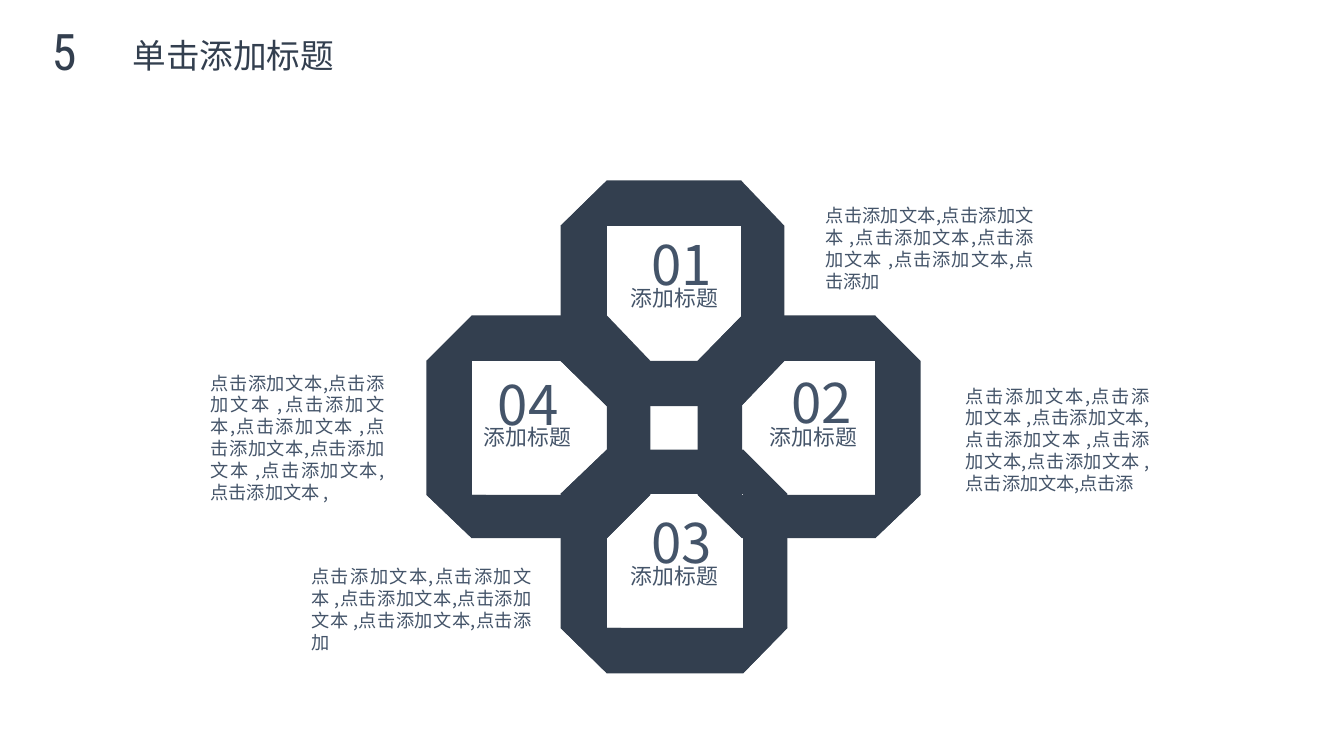
"""Build a slide with four interlocking octagonal rings and their captions."""
from lxml.etree import SubElement
from pptx import Presentation
from pptx.dml.color import RGBColor
from pptx.enum.text import MSO_ANCHOR as Anchor, MSO_AUTO_SIZE as AutoSize, PP_ALIGN as Align
from pptx.oxml.ns import qn
from pptx.util import Inches, Pt

HEADING = "单击添加标题"
SECTION = "5"
RING_LABEL = "添加标题"
PHRASE = "点击添加文本"
PAIR = f"{PHRASE},{PHRASE} ,"
DARK, SLATE, AMBER, MAROON = "333F4F", "445469", "BC6C2A", "8E2525"
CJK, CONDENSED = "Noto Sans CJK SC", "Roboto Condensed"
FOLD = 0.14

RINGS = [
    {"number": "01", "number_at": (6.36, 2.24), "label_at": (6.06, 2.77),
     "xs": (5.56, 6.02, 7.35, 7.78), "ys": (1.79, 2.24, 3.58, 4.03),
     "folds": {"top": DARK, "right": DARK, "bottom": MAROON, "left": DARK},
     "caption": PAIR * 2 + PHRASE + ",点击添加", "caption_box": (8.09, 1.98, 2.26, 0.97)},
    {"number": "02", "number_at": (7.75, 3.61), "label_at": (7.44, 4.15),
     "xs": (6.92, 7.36, 8.68, 9.13), "ys": (3.13, 3.58, 4.91, 5.34),
     "folds": {"top": DARK, "right": DARK, "left": DARK},
     "caption": PAIR * 3 + PHRASE + ",点击添", "caption_box": (9.48, 3.77, 2.02, 1.19)},
    {"number": "03", "number_at": (6.36, 4.99), "label_at": (6.06, 5.53),
     "xs": (5.56, 6.02, 7.37, 7.81), "ys": (4.46, 4.9, 6.23, 6.68),
     "folds": {"right": DARK, "bottom": DARK, "left": DARK},
     "caption": PAIR * 2 + PHRASE + ",点击添加", "caption_box": (2.99, 5.56, 2.38, 0.97)},
    {"number": "04", "number_at": (4.84, 3.62), "label_at": (4.6, 4.15),
     "xs": (4.23, 4.68, 6.02, 6.45), "ys": (3.13, 3.58, 4.91, 5.34),
     "folds": {"top": AMBER, "right": DARK, "bottom": DARK, "left": DARK},
     "caption": PAIR * 4, "caption_box": (1.99, 3.64, 1.92, 1.85)},
]

MIDDLE = {"word_wrap": True, "auto_size": AutoSize.NONE, "vertical_anchor": Anchor.MIDDLE}
TOP = {**MIDDLE, "vertical_anchor": Anchor.TOP}
NO_INSET = {f"margin_{side}": 0 for side in ("left", "top", "right", "bottom")}
CENTRED = {"alignment": Align.CENTER}
BODY = {"alignment": Align.JUSTIFY, "line_spacing": Pt(15.6)}


def colour(hex_string):
    return RGBColor.from_string(hex_string)


def apply(target, values):
    for name, value in values.items():
        setattr(target, name, value)


def write(shape, text, size, ink, face=CJK, frame=MIDDLE, paragraph=CENTRED):
    apply(shape.text_frame, frame)
    line = shape.text_frame.paragraphs[0]
    apply(line, paragraph)
    line._p.get_or_add_pPr().set("hangingPunct", "0")
    run = line.add_run()
    run.text = text
    apply(run.font, {"size": Pt(size), "name": face, "bold": False})
    run.font.color.rgb = colour(ink)
    SubElement(run.font._element, qn("a:ea"), typeface=face)


def add_text(slide, box, *content, **style):
    write(slide.shapes.add_textbox(*map(Inches, box)), *content, **style)


def add_panel(slide, corners, fill):
    start, *others = [(Inches(x), Inches(y)) for x, y in corners]
    builder = slide.shapes.build_freeform(*start)
    builder.add_line_segments(others, close=True)
    panel = builder.convert_to_shape()
    panel.shadow.inherit = False
    panel.fill.solid()
    panel.fill.fore_color.rgb = colour(fill)
    panel.line.fill.background()


def add_folds(slide, ring):
    x0, x1, x2, x3 = ring["xs"]
    y0, y1, y2, y3 = ring["ys"]
    corners = {
        "top": [(x2, y0), (x2, y1), (x2 - FOLD, y1)],
        "right": [(x3, y2), (x2, y2), (x2, y2 - FOLD)],
        "bottom": [(x1, y3), (x1, y2), (x1 + FOLD, y2)],
        "left": [(x0, y1), (x1, y1), (x1, y1 + FOLD)],
    }
    for side, fill in ring["folds"].items():
        add_panel(slide, corners[side], fill)


def add_bands(slide, ring):
    x0, x1, x2, x3 = ring["xs"]
    y0, y1, y2, y3 = ring["ys"]
    top = [(x1, y0), (x0, y1), (x2, y1), (x2, y0)]
    right = [(x3, y2), (x3, y1), (x2, y0), (x2, y3)]
    bottom = [(x0, y2), (x1, y3), (x2, y3), (x3, y2)]
    left = [(x0, y1), (x0, y2), (x1, y3), (x1, y0)]
    for corners in (top, right, bottom, left):
        add_panel(slide, corners, DARK)


def main():
    deck = Presentation()
    apply(deck, {"slide_width": Inches(13.33), "slide_height": Inches(7.5)})
    slide = deck.slides.add_slide(deck.slide_layouts[5])
    heading = slide.shapes.title
    apply(heading, dict(zip(("left", "top", "width", "height"),
                            map(Inches, (1.08, 0.29, 2.47, 0.51)))))
    write(heading, HEADING, 24, DARK)
    add_text(slide, (0.29, 0.19, 0.69, 0.61), SECTION, 36, DARK,
             face=CONDENSED, frame={**MIDDLE, **NO_INSET})
    for ring in RINGS:
        add_text(slide, ring["caption_box"], ring["caption"], 13, SLATE,
                 frame=TOP, paragraph=BODY)
        add_folds(slide, ring)
    for ring in RINGS:
        add_bands(slide, ring)
    for ring in RINGS:
        add_text(slide, (*ring["number_at"], 0.84, 0.76), ring["number"], 39, SLATE,
                 paragraph={"alignment": Align.LEFT})
        add_text(slide, (*ring["label_at"], 1.26, 0.36), RING_LABEL, 15.6, SLATE)
    deck.save("out.pptx")


if __name__ == "__main__":
    main()
